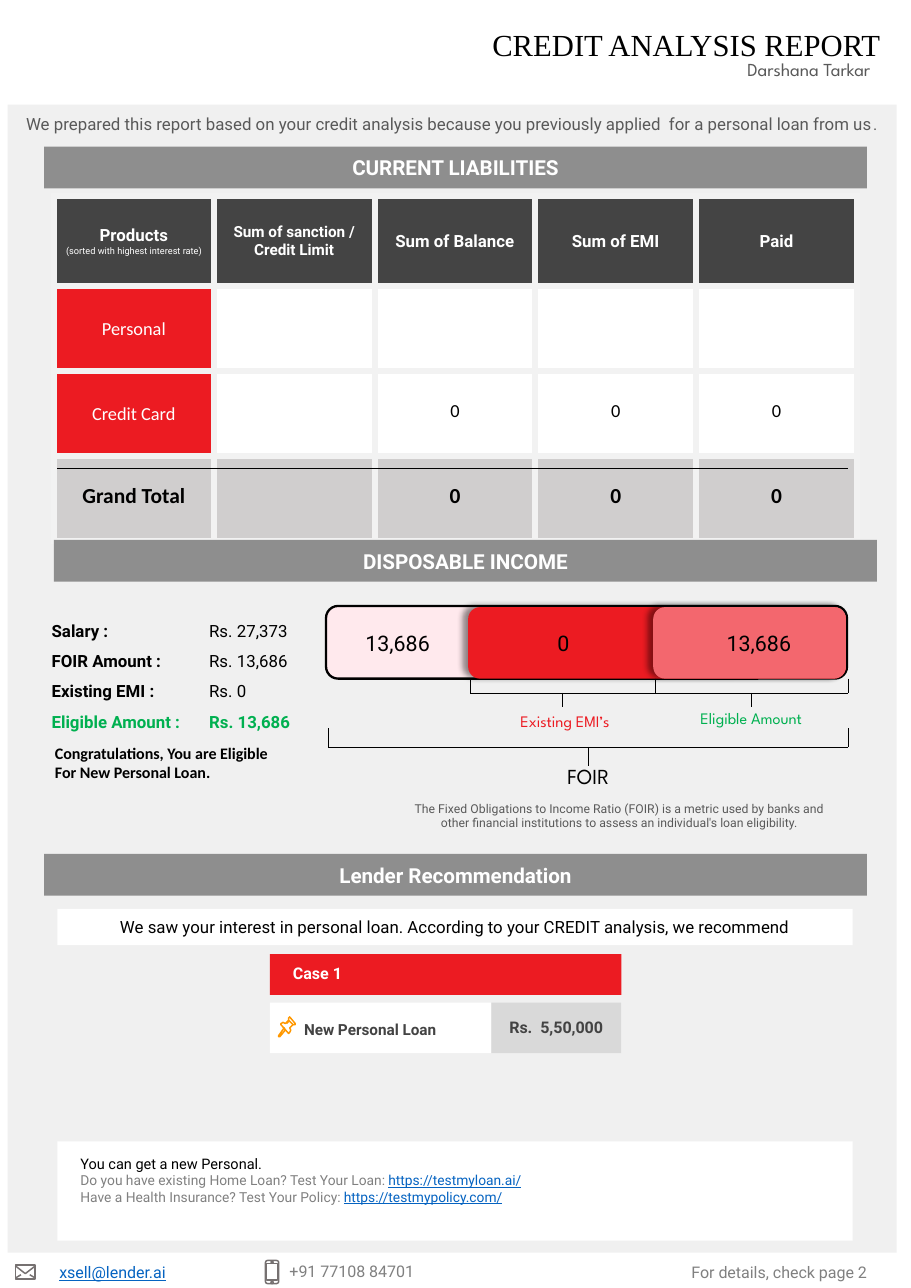
from lxml import etree
from pptx import Presentation
from pptx.dml.color import RGBColor
from pptx.enum import shapes, text
from pptx.oxml import parse_xml
from pptx.oxml.ns import nsdecls, qn
from pptx.util import Inches, Pt

COLOURS = dict(
    black="000000", white="FFFFFF", page="F0F0F0", band="8E8E8E", header="444444",
    red="EC1B22", rose="F3676E", blush="FFE9ED", total="D0CECE", border="F2F2F2",
    grey="595959", light="808080", link="0563C1", green="00B050", amount="D9D9D9",
    dark="434343", icon="767171", pin="FF9800")
ROBOTO, SPARTAN, CALIBRI, TIMES = "Roboto", "League Spartan", "Calibri", "Times New Roman"
SHAPE = shapes.MSO_SHAPE
LEFT, CENTRE, RIGHT, JUSTIFY = (text.PP_ALIGN.LEFT, text.PP_ALIGN.CENTER,
                                text.PP_ALIGN.RIGHT, text.PP_ALIGN.JUSTIFY)
TOP, MIDDLE = text.MSO_ANCHOR.TOP, text.MSO_ANCHOR.MIDDLE
DEFAULT_INSETS = (0.1, 0.05, 0.1, 0.05)

SECTIONS = [("CURRENT LIABILITIES", 0.4, 1.33), ("DISPOSABLE INCOME", 0.49, 4.9),
            ("Lender Recommendation", 0.4, 7.75)]
HEADERS = [
    [[("Products", 11, ROBOTO, "white", True)],
     [("(sorted with highest interest rate)", 6, ROBOTO, "white")]],
    [[("Sum of sanction / Credit Limit", 10, ROBOTO, "white", True)]],
] + [[[(name, 11, ROBOTO, "white", True)]] for name in ("Sum of Balance", "Sum of EMI", "Paid")]
LIABILITIES = [["Personal", "", "", "", ""], ["Credit Card", "", "0", "0", "0"],
               ["Grand Total", "", "0", "0", "0"]]
COLUMN_WIDTHS = [1.45] + [1.46] * 4
ROW_HEIGHTS = [0.82] + [0.77] * 3
INCOME = [("Salary :", "Rs. 27,373", "black", False), ("FOIR Amount :", "Rs. 13,686", "black", False),
          ("Existing EMI :", "Rs. 0", "black", False),
          ("Eligible Amount :", "Rs. 13,686", "green", True)]
INCOME_TAB = 1.43

TEXTS = [
    ((4.04, 0.19, 4.05, 0.44), RIGHT, [[("CREDIT ANALYSIS REPORT", 20, TIMES, "black")]]),
    ((4.59, 0.48, 3.41, 0.3), RIGHT, [[("Darshana Tarkar", 12, SPARTAN, "grey")]]),
    ((0.12, 0.98, 7.96, 0.29), CENTRE,
     [[("We prepared this report based on your credit analysis because you previously applied"
        "  for a personal loan from us", 11, ROBOTO, "grey"), (".", 10.5, ROBOTO, "grey")]]),
    ((3.54, 7.22, 4.17, 0.37), CENTRE,
     [[("The Fixed Obligations to Income Ratio (FOIR) is a metric used by banks and other "
        "financial institutions to assess an individual's loan eligibility.", 8, ROBOTO, "grey")]]),
    ((0.4, 6.7, 2.21, 0.45), LEFT,
     [[("Congratulations, You are Eligible For New Personal Loan.", 10.5, CALIBRI, "black", True)]]),
    ((4.74, 6.88, 1.2, 0.34), CENTRE, [[("FOIR", 14, SPARTAN, "black")]]),
    ((4.53, 6.41, 1.2, 0.28), CENTRE, [[("Existing EMI’s", 10.5, SPARTAN, "red")]]),
    ((6.13, 6.38, 1.38, 0.28), CENTRE, [[("Eligible Amount", 10.5, SPARTAN, "green")]]),
    ((2.97, 5.67, 1.28, 0.34), CENTRE, [[("13,686", 14, ROBOTO, "black")]]),
    ((4.27, 5.67, 1.69, 0.34), CENTRE, [[("0", 14, ROBOTO, "black")]]),
    ((6.26, 5.67, 1.26, 0.34), CENTRE, [[("13,686", 14, ROBOTO, "black")]]),
    ((0.44, 11.41, 1.84, 0.28), LEFT, [[("xsell@lender.ai", 10.5, ROBOTO, "link", False, True)]]),
    ((2.53, 11.4, 1.84, 0.29), LEFT, [[("+91 77108 84701", 10.5, ROBOTO, "light")]]),
    ((5.62, 11.41, 2.35, 0.29), RIGHT, [[("For details, check page 2", 10.5, ROBOTO, "light")]]),
]
PANELS = [
    ((0.52, 8.25, 7.22, 0.33), "white", CENTRE, MIDDLE, DEFAULT_INSETS,
     [[("We saw your interest in personal loan. According to your CREDIT analysis, we recommend",
        11, ROBOTO, "black")]]),
    ((0.52, 10.36, 7.22, 0.9), "white", JUSTIFY, TOP, (0.21, 0.12, 0.1, 0.05),
     [[("You can get a new Personal.", 9.5, ROBOTO, "black")],
      [("Do you have existing Home Loan? Test Your Loan: ", 9, ROBOTO, "light"),
       ("https://testmyloan.ai/", 9, ROBOTO, "link", False, True)],
      [("Have a Health Insurance? Test Your Policy: ", 9, ROBOTO, "light"),
       ("https://testmypolicy.com/", 9, ROBOTO, "link", False, True)]]),
    ((2.45, 8.66, 3.19, 0.37), "red", LEFT, MIDDLE, (0.21, 0, 0, 0.03),
     [[("Case 1", 10.5, ROBOTO, "white", True)]]),
    ((2.45, 9.1, 2.01, 0.46), "white", LEFT, MIDDLE, (0.31, 0.03, 0, 0),
     [[("New Personal Loan", 10, ROBOTO, "dark", True)]]),
    ((4.46, 9.1, 1.18, 0.46), "amount", CENTRE, MIDDLE, (0, 0, 0, 0.02),
     [[("Rs.  5,50,000", 10.5, ROBOTO, "dark", True)]]),
]
INCOME_BAR = [((2.96, 5.5, 4.73, 0.66), "blush"), ((4.25, 5.51, 3.43, 0.65), "red"),
              ((5.93, 5.51, 1.75, 0.65), "rose")]
BRACKETS = [(2.98, 7.7, 6.61, 0.17), (5.95, 7.7, 6.16, 0.13), (4.27, 5.95, 6.16, 0.13)]
ICON_PRESETS = [(SHAPE.RECTANGLE, (0.14, 11.48, 0.18, 0.13)),
                (SHAPE.ROUNDED_RECTANGLE, (2.41, 11.44, 0.12, 0.21)),
                (SHAPE.RECTANGLE, (2.42, 11.47, 0.1, 0.15)),
                (SHAPE.OVAL, (2.46, 11.63, 0.02, 0.02)),
                (SHAPE.OVAL, (2.46, 11.45, 0.02, 0.01))]
ICON_OUTLINES = [
    ("icon", False, [(0.14, 11.49), (0.23, 11.56), (0.32, 11.49)]),
    ("icon", False, [(0.27, 11.57), (0.32, 11.6)]),
    ("icon", False, [(0.14, 11.6), (0.19, 11.57)]),
    ("pin", True, [(2.58, 9.33), (2.53, 9.4), (2.53, 9.41), (2.54, 9.41), (2.59, 9.35)]),
    ("pin", True, [(2.62, 9.26), (2.66, 9.3), (2.68, 9.3), (2.68, 9.29), (2.63, 9.23), (2.62, 9.24)]),
    ("pin", False, [(2.62, 9.26), (2.59, 9.29), (2.57, 9.28), (2.55, 9.29), (2.55, 9.3), (2.62, 9.38),
                    (2.63, 9.37), (2.64, 9.35), (2.63, 9.33), (2.66, 9.3)]),
    ("pin", False, [(2.6, 9.29), (2.62, 9.27)]),
]


def colour(name):
    return RGBColor.from_string(COLOURS[name])


def write(frame, paragraphs, align):
    for index, runs in enumerate(paragraphs):
        paragraph = frame.add_paragraph() if index else frame.paragraphs[0]
        paragraph.alignment = align
        for content, size, font, tint, *style in runs:
            run = paragraph.add_run()
            run.text = content
            run.font.size, run.font.name = Pt(size), font
            run.font.color.rgb = colour(tint)
            run.font.bold = bool(style and style[0])
            run.font.underline = len(style) > 1


def set_insets(item, insets):
    item.margin_left, item.margin_top, item.margin_right, item.margin_bottom = map(Inches, insets)


def add_text(slide, box, align, paragraphs):
    frame = slide.shapes.add_textbox(*map(Inches, box)).text_frame
    frame.word_wrap = True
    write(frame, paragraphs, align)
    return frame


def paint(shape, fill=None, line=None, width=0.96):
    shape.shadow.inherit = False
    if fill:
        shape.fill.solid()
        shape.fill.fore_color.rgb = colour(fill)
    else:
        shape.fill.background()
    if line:
        shape.line.color.rgb = colour(line)
        shape.line.width = Pt(width)
    else:
        shape.line.fill.background()


def add_preset(slide, kind, box, **look):
    shape = slide.shapes.add_shape(kind, *map(Inches, box))
    paint(shape, **look)
    return shape


def add_panel(slide, box, fill, align, anchor, insets, paragraphs):
    frame = add_preset(slide, SHAPE.RECTANGLE, box, fill=fill).text_frame
    frame.word_wrap = True
    frame.vertical_anchor = anchor
    set_insets(frame, insets)
    write(frame, paragraphs, align)


def add_line(slide, *ends):
    line = slide.shapes.add_connector(shapes.MSO_CONNECTOR.STRAIGHT, *map(Inches, ends))
    line.line.color.rgb = colour("black")
    line.line.width = Pt(0.5)
    etree.SubElement(line._element.spPr, qn("a:effectLst"))


def add_bracket(slide, left, right, top, drop):
    low, middle = top + drop, (left + right) / 2
    for ends in ((left, top, left, low), (right, top, right, low),
                 (left, low, right, low), (middle, low, middle, low + drop)):
        add_line(slide, *ends)


def cast_shadow(shape):
    effects = shape._element.spPr.find(qn("a:effectLst"))
    effects.append(parse_xml(
        f'<a:outerShdw {nsdecls("a")} blurRad="50800" dist="50800" dir="11400000" rotWithShape="0">'
        f'<a:srgbClr val="{COLOURS["black"]}"><a:alpha val="43000"/></a:srgbClr></a:outerShdw>'))


def fill_cell(cell, fill, paragraphs):
    for side in ("lnL", "lnR", "lnT", "lnB"):
        cell._tc.get_or_add_tcPr().append(parse_xml(
            f'<a:{side} {nsdecls("a")} w="57150"><a:solidFill>'
            f'<a:srgbClr val="{COLOURS["border"]}"/></a:solidFill></a:{side}>'))
    cell.fill.solid()
    cell.fill.fore_color.rgb = colour(fill)
    cell.vertical_anchor = MIDDLE
    write(cell.text_frame, paragraphs, CENTRE)


def add_liabilities(slide):
    box = (0.49, 1.78, sum(COLUMN_WIDTHS), sum(ROW_HEIGHTS))
    table = slide.shapes.add_table(4, 5, *map(Inches, box)).table
    table.first_row = table.horz_banding = False
    for column, width in zip(table.columns, COLUMN_WIDTHS):
        column.width = Inches(width)
    for row, height in zip(table.rows, ROW_HEIGHTS):
        row.height = Inches(height)
    for index, paragraphs in enumerate(HEADERS):
        fill_cell(table.cell(0, index), "header", paragraphs)
    for row, values in enumerate(LIABILITIES, 1):
        last = row == len(LIABILITIES)
        for column, value in enumerate(values):
            fill = "total" if last else "white" if column else "red"
            tint = "black" if last or column else "white"
            cell = table.cell(row, column)
            set_insets(cell, (0.01, 0.01, 0.01, 0.05 if last or column else 0))
            runs = [(value, 14 if last else 12, CALIBRI, tint, last)] if value else []
            fill_cell(cell, fill, [runs])


def add_income(slide):
    rows = [[(label, 11, ROBOTO, tint, True), ("\t" + value, 11, ROBOTO, tint, bold)]
            for label, value, tint, bold in INCOME]
    frame = add_text(slide, (0.37, 5.49, 2.88, 1.18), LEFT, rows)
    for paragraph in frame.paragraphs:
        paragraph.line_spacing = 1.5
        tabs = etree.SubElement(paragraph._p.get_or_add_pPr(), qn("a:tabLst"))
        etree.SubElement(tabs, qn("a:tab"), pos=str(Inches(INCOME_TAB)), algn="l")


def main():
    presentation = Presentation()
    presentation.slide_width, presentation.slide_height = Inches(8.27), Inches(11.69)
    slide = presentation.slides.add_slide(presentation.slide_layouts[6])
    add_preset(slide, SHAPE.RECTANGLE, (0.07, 0.95, 8.07, 10.42), fill="page")
    add_liabilities(slide)
    add_line(slide, 0.52, 4.25, 7.7, 4.25)
    for title, left, top in SECTIONS:
        add_panel(slide, (left, top, 7.47, 0.38), "band", CENTRE, MIDDLE, DEFAULT_INSETS,
                  [[(title, 13.5, ROBOTO, "white", True)]])
    add_income(slide)
    for index, (box, fill) in enumerate(INCOME_BAR):
        part = add_preset(slide, SHAPE.ROUNDED_RECTANGLE, box, fill=fill,
                          line=None if index else "black", width=1.5)
        if index:
            cast_shadow(part)
    for bracket in BRACKETS:
        add_bracket(slide, *bracket)
    for panel in PANELS:
        add_panel(slide, *panel)
    for box, align, paragraphs in TEXTS:
        add_text(slide, box, align, paragraphs)
    for kind, box in ICON_PRESETS:
        add_preset(slide, kind, box, line="icon")
    for tint, closed, points in ICON_OUTLINES:
        corners = [(Inches(x), Inches(y)) for x, y in points]
        builder = slide.shapes.build_freeform(*corners[0])
        builder.add_line_segments(corners[1:], close=closed)
        paint(builder.convert_to_shape(), line=tint)
    presentation.save("out.pptx")


if __name__ == "__main__":
    main()
